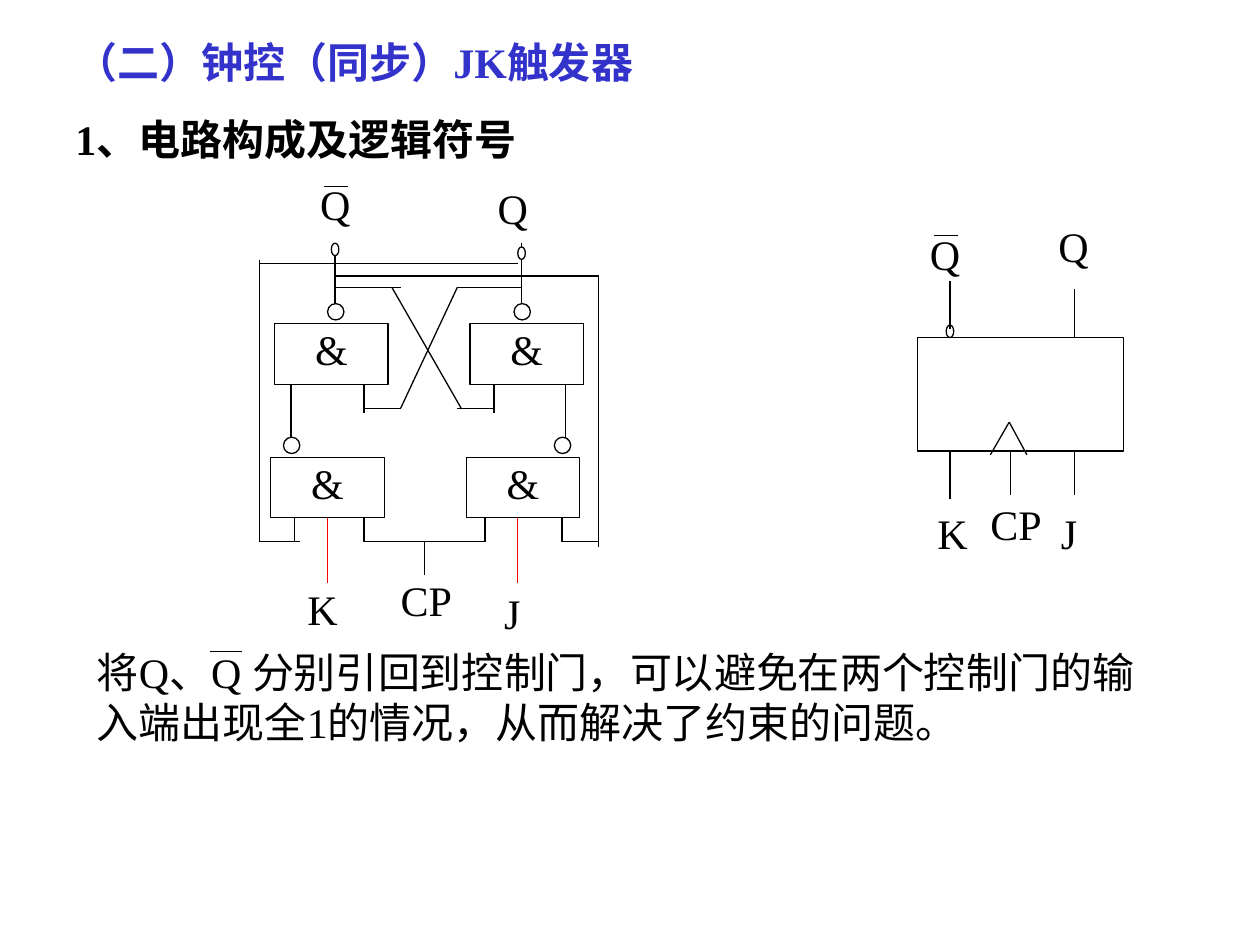
import itertools

import pptx
import pptx.dml.color
import pptx.enum.shapes
import pptx.enum.text
import pptx.oxml
import pptx.oxml.ns
import pptx.util

Inches = pptx.util.Inches
Pt = pptx.util.Pt
Shape = pptx.enum.shapes.MSO_SHAPE
Align = pptx.enum.text.PP_ALIGN

COLOURS = {"heading": "3333CC", "ink": "000000", "paper": "FFFFFF", "input": "FF0000"}


class CircuitSlide:
    font_name = "Times New Roman"
    font_size = 24
    line_width = 0.75

    def __init__(self, slide):
        self.slide = slide

    def colour(self, name):
        return pptx.dml.color.RGBColor.from_string(COLOURS[name])

    def style_paragraph(self, paragraph, align, colour="ink", bold=False):
        paragraph.alignment = align
        for run in paragraph.runs:
            run.font.name = self.font_name
            run.font.size = Pt(self.font_size)
            run.font.bold = bold
            run.font.color.rgb = self.colour(colour)

    def set_margins(self, frame, side, vertical):
        frame.margin_left = frame.margin_right = Inches(side)
        frame.margin_top = frame.margin_bottom = Inches(vertical)

    def text(self, left, top, width, height, lines, align, bold=False):
        """Add a text box; lines holds (text, colour) pairs, one a paragraph."""
        box = self.slide.shapes.add_textbox(
            Inches(left), Inches(top), Inches(width), Inches(height))
        frame = box.text_frame
        frame.word_wrap = True
        self.set_margins(frame, 0.1, 0.05)
        for index, (line, colour) in enumerate(lines):
            paragraph = frame.add_paragraph() if index else frame.paragraphs[0]
            paragraph.text = line
            if index:
                paragraph.space_before = Pt(15)
            self.style_paragraph(paragraph, align, colour, bold)

    def shape(self, kind, left, top, width, height, outlined=True):
        shape = self.slide.shapes.add_shape(
            kind, Inches(left), Inches(top), Inches(width), Inches(height))
        shape.shadow.inherit = False
        shape.fill.solid()
        shape.fill.fore_color.rgb = self.colour("paper")
        if outlined:
            shape.line.color.rgb = self.colour("ink")
            shape.line.width = Pt(self.line_width)
        else:
            shape.line.fill.background()
        return shape

    def set_caption(self, shape, text, align, margin):
        frame = shape.text_frame
        frame.text = text
        frame.word_wrap = True
        frame.vertical_anchor = pptx.enum.text.MSO_ANCHOR.TOP
        self.set_margins(frame, margin, 0)
        self.style_paragraph(frame.paragraphs[0], align)

    def label(self, text, left, top, width=0.35, height=0.45, margin=0):
        box = self.shape(Shape.RECTANGLE, left, top, width, height, outlined=False)
        self.set_caption(box, text, Align.JUSTIFY, margin)

    def gate(self, left, top):
        gate = self.shape(Shape.RECTANGLE, left, top, 0.9, 0.48)
        self.set_caption(gate, "&", Align.CENTER, 0.1)
        return gate

    def bubble(self, left, top):
        self.shape(Shape.OVAL, left, top, 0.13, 0.13)

    def terminal(self, left, top):
        self.shape(Shape.OVAL, left, top, 0.06, 0.1)

    def line(self, start, end, colour="ink"):
        connector = self.slide.shapes.add_connector(
            pptx.enum.shapes.MSO_CONNECTOR.STRAIGHT,
            *(Inches(value) for value in start + end))
        connector.line.color.rgb = self.colour(colour)
        connector.line.width = Pt(self.line_width)
        properties = connector._element.spPr
        properties.append(pptx.oxml.parse_xml(
            "<a:effectLst %s/>" % pptx.oxml.ns.nsdecls("a")))
        return connector

    def wire(self, *points):
        """Join successive points with straight lines."""
        for start, end in itertools.pairwise(points):
            self.line(start, end)

    def overbar(self, left, y, width=0.19):
        self.line((left, y), (left + width, y))


def draw_circuit(page):
    for left, top in ((2.18, 2.57), (3.73, 2.57), (3.7, 3.63)):
        page.gate(left, top)
    k_gate = page.gate(2.15, 3.63)

    page.label("K", 2.44, 4.63)
    page.label("J", 3.92, 4.66, margin=0.08)
    page.label("CP", 3.18, 4.56, width=0.45)
    page.label("Q", 2.54, 1.42)
    page.label("Q", 3.95, 1.45)
    page.overbar(2.57, 1.48)

    k_input = page.line((2.6, 4.11), (2.6, 4.63), "input")
    k_input.begin_connect(k_gate, 2)
    page.line((4.11, 4.11), (4.11, 4.63), "input")

    # Outputs and the links between upper and lower gates
    for output_x in (2.66, 4.14):
        page.bubble(output_x - 0.06, 2.41)
        page.wire((output_x, 2.41), (output_x, 1.93))
    for link_x in (2.31, 4.49):
        page.wire((link_x, 3.05), (link_x, 3.57))

    # Cross-coupling of the upper gates
    for input_x in (2.89, 3.92):
        page.wire((input_x, 3.05), (input_x, 3.28))
    page.wire((4.14, 2.28), (3.63, 2.28), (3.18, 3.24), (2.89, 3.24))
    page.wire((2.66, 2.28), (3.18, 2.28))
    page.wire((3.11, 2.28), (3.66, 3.24))
    page.wire((3.92, 3.24), (3.63, 3.24))

    # Clock
    page.wire((2.89, 4.11), (2.89, 4.3), (3.85, 4.3), (3.85, 4.11))
    page.wire((3.37, 4.3), (3.37, 4.56))

    # Feedback to the control gates
    page.wire((4.46, 4.11), (4.46, 4.3), (4.75, 4.3))
    page.wire((4.75, 4.34), (4.75, 2.19), (2.66, 2.19))
    page.wire((2.34, 4.11), (2.34, 4.3))
    page.wire((2.38, 4.3), (2.06, 4.3), (2.06, 2.06))
    page.wire((2.06, 2.09), (4.11, 2.09))

    for left in (2.25, 4.4):
        page.bubble(left, 3.47)
    page.terminal(2.63, 1.93)
    page.terminal(4.11, 1.96)


def draw_symbol(page):
    page.shape(Shape.RECTANGLE, 7.28, 2.68, 1.64, 0.9)
    page.terminal(7.51, 2.58)

    page.label("Q", 7.38, 1.81)
    page.overbar(7.41, 1.87)
    page.label("Q", 8.4, 1.75, width=0.38, height=0.51)
    page.label("K", 7.44, 4.03)
    page.label("J", 8.34, 4.03, margin=0.08)
    page.label("CP", 7.86, 3.96, width=0.45)

    for pin_x, start_y, end_y in (
            (7.54, 2.61, 2.23), (8.53, 2.68, 2.29),
            (7.54, 3.58, 3.96), (8.02, 3.58, 3.93), (8.53, 3.58, 3.93)):
        page.wire((pin_x, start_y), (pin_x, end_y))
    page.wire((7.86, 3.61), (8.01, 3.35), (8.15, 3.61))


def main():
    deck = pptx.Presentation()
    deck.slide_width = Inches(10)
    deck.slide_height = Inches(7.5)
    page = CircuitSlide(deck.slides.add_slide(deck.slide_layouts[6]))

    page.text(0.5, 0.24, 8.67, 1.11,
              [("（二）钟控（同步）JK触发器", "heading"),
               ("1、电路构成及逻辑符号", "ink")],
              Align.JUSTIFY, bold=True)
    draw_circuit(page)
    draw_symbol(page)
    page.text(0.67, 5.08, 8.58, 0.9,
              [("将Q、Q 分别引回到控制门，可以避免在两个控制门的输入端出现全1的情况，"
                "从而解决了约束的问题。", "ink")],
              Align.LEFT)
    page.overbar(1.67, 5.17, width=0.25)

    deck.save("out.pptx")


if __name__ == "__main__":
    main()
